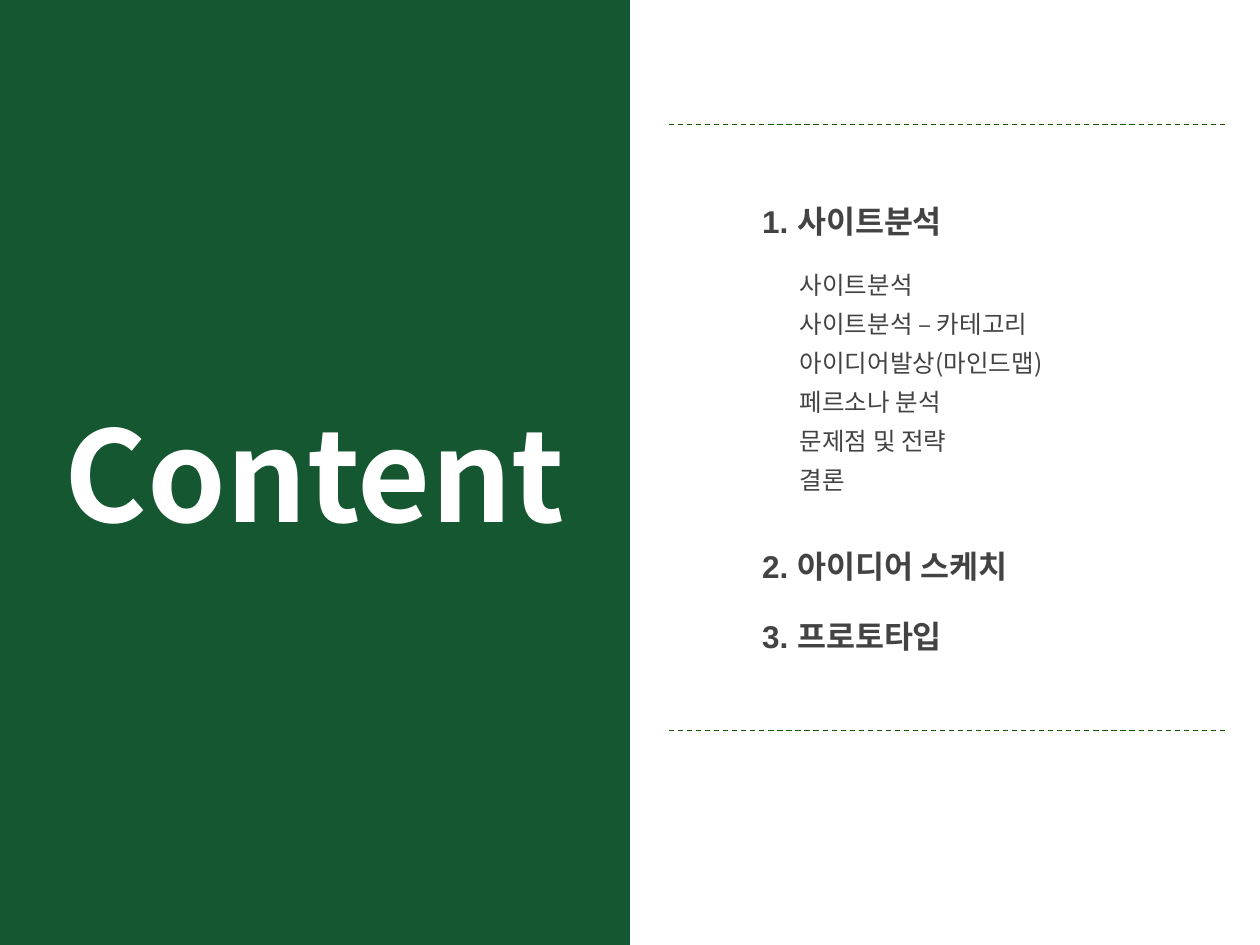
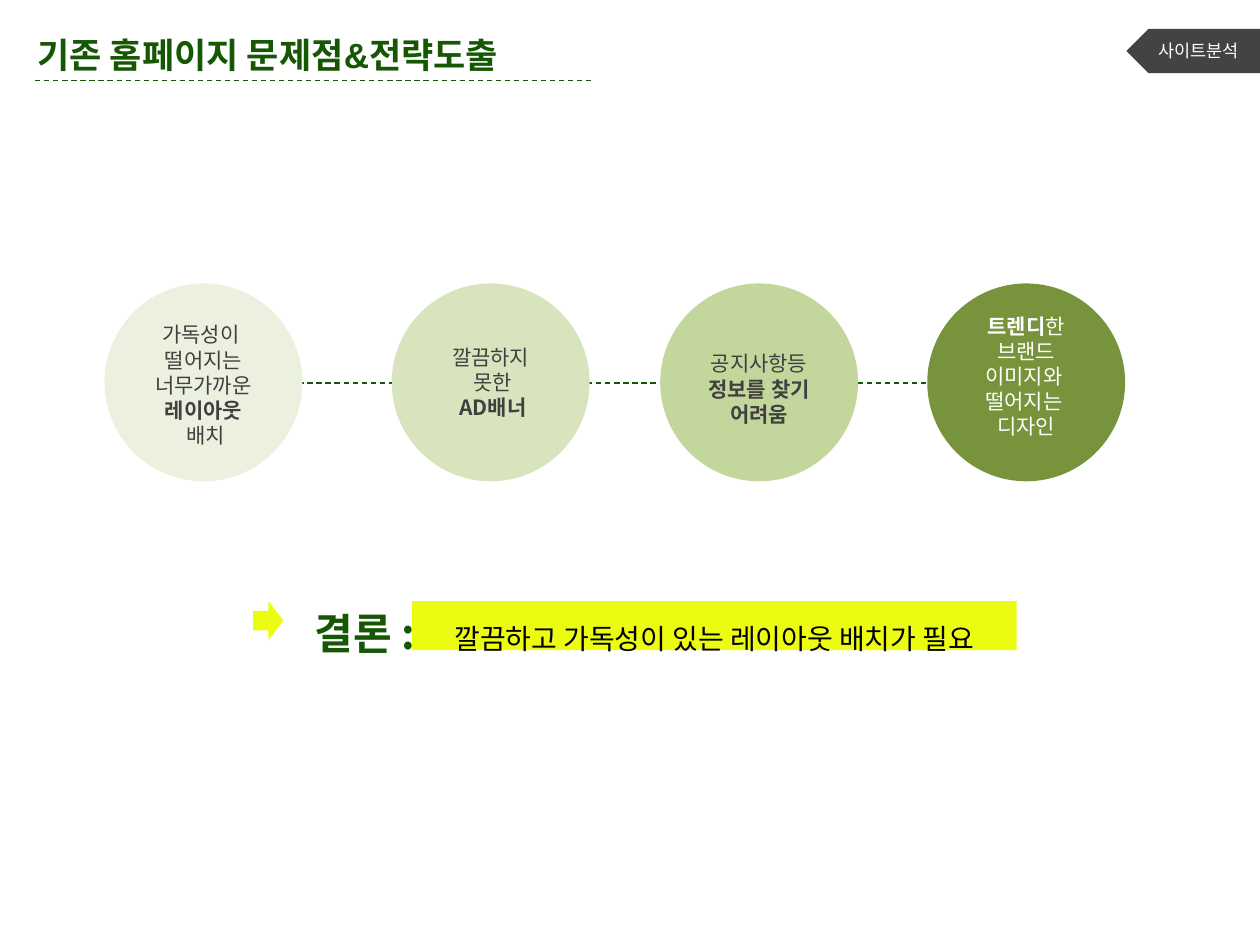
from lxml import etree
from pptx import Presentation
from pptx.dml.color import RGBColor
from pptx.enum.dml import MSO_LINE
from pptx.enum.shapes import MSO_CONNECTOR, MSO_SHAPE
from pptx.enum.text import MSO_ANCHOR, PP_ALIGN
from pptx.oxml.ns import qn
from pptx.util import Inches, Pt

RECT, OVAL = MSO_SHAPE.RECTANGLE, MSO_SHAPE.OVAL
ARROW, TAG = MSO_SHAPE.RIGHT_ARROW, MSO_SHAPE.PENTAGON
LEFT, MID = PP_ALIGN.LEFT, PP_ALIGN.CENTER
SANS, KOREAN = "Arial", "Noto Sans CJK KR"
PITCH = 1.2  # line height in ems

COLOR = {
    "panel": "155731", "green": "165704", "gray": "434343", "dark": "404040",
    "white": "FFFFFF", "black": "000000", "yellow": "EBFC10",
    "pale": "EBF1DE", "light": "D7E4BD", "soft": "C3D69B", "olive": "77933C",
}

prs = Presentation()
prs.slide_width, prs.slide_height = Inches(10), Inches(7.5)
blank = prs.slide_layouts[6]


def put(slide, box, lines=(), size=12, color="gray", font=KOREAN,
        kind=None, fill=None, align=LEFT):
    """Add a filled shape, or a text box without kind; lines hold (text, bold) runs."""
    area = [Inches(n) for n in box]
    if kind is None:
        shape = slide.shapes.add_textbox(*area)
    else:
        shape = slide.shapes.add_shape(kind, *area)
        shape.shadow.inherit = False
        shape.fill.solid()
        shape.fill.fore_color.rgb = RGBColor.from_string(COLOR[fill])
        shape.line.fill.background()
    frame = shape.text_frame
    frame.word_wrap = True
    frame.vertical_anchor = MSO_ANCHOR.MIDDLE
    for i, line in enumerate(lines):
        para = frame.add_paragraph() if i else frame.paragraphs[0]
        para.alignment = align
        para.line_spacing = Pt(size * PITCH)
        for text, bold in line:
            run = para.add_run()
            run.text = text
            run.font.size, run.font.bold, run.font.name = Pt(size), bold, font
            run.font.color.rgb = RGBColor.from_string(COLOR[color])
            east = etree.SubElement(run.font._element, qn("a:ea"))
            east.set("typeface", KOREAN)
    return shape


def dash(slide, left, right, top):
    """Draw a level dashed rule."""
    rule = slide.shapes.add_connector(
        MSO_CONNECTOR.STRAIGHT, Inches(left), Inches(top), Inches(right), Inches(top))
    rule.line.color.rgb = RGBColor.from_string(COLOR["green"])
    rule.line.width = Pt(0.75)
    rule.line.dash_style = MSO_LINE.DASH
    etree.SubElement(rule._element.spPr, qn("a:effectLst"))


# Slide 1: contents
page = prs.slides.add_slide(blank)
put(page, (0, 0, 5, 7.5), [[("Content", True)]], 72, "white",
    kind=RECT, fill="panel", align=MID)
for top in (0.99, 5.8):
    dash(page, 5.31, 9.72, top)

heads = [("1. 사이트분석", 1.55), ("2. 아이디어 스케치", 4.29), ("3. 프로토타입", 4.85)]
for head, top in heads:
    put(page, (5.95, top, 3, 0.4), [[(head, True)]], 18, font=SANS)

topics = ["사이트분석", "사이트분석 – 카테고리", "아이디어발상(마인드맵)",
          "페르소나 분석", "문제점 및 전략", "결론"]
for i, topic in enumerate(topics):
    put(page, (6.25, 2.09 + 0.31 * i, 3, 0.34), [[(topic, False)]], 14)

# Slide 2: problems and conclusion
page = prs.slides.add_slide(blank)
put(page, (0.2, 0.21, 4.8, 0.44), [[("기존 홈페이지 문제점&전략도출", True)]],
    20, "green", SANS)
dash(page, 0.28, 4.69, 0.64)
tag = put(page, (8.94, 0.23, 1.06, 0.35), [[("사이트분석", False)]], 10, "white",
          kind=TAG, fill="gray", align=MID)
tag._element.spPr.xfrm.set("flipH", "1")

# Each circle: left, fill, text colour, downward shift of the text, lines
dash(page, 2.01, 8.78, 3.04)
circles = [
    (0.83, "pale", "dark", 0.02,
     [[("가독성이 ", False)], [("떨어지는", False)],
      [("너무가까운 ", False), ("레이아웃", True)], [(" 배치", False)]]),
    (3.11, "light", "dark", 0,
     [[("깔끔하지", False)], [(" 못한", False)], [(" ", False), ("AD배너", True)]]),
    (5.24, "soft", "dark", 0.05,
     [[("공지사항등 ", False), ("정보를 찾기 어려움", True)]]),
    (7.36, "olive", "white", -0.05,
     [[("트렌디", True), ("한", False)], [(" 브랜드 ", False)],
      [("이미지와 ", False)], [("떨어지는 ", False)], [("디자인", False)]]),
]
for left, fill, color, shift, lines in circles:
    disc = put(page, (left, 2.25, 1.57, 1.57), lines, 12, color,
               kind=OVAL, fill=fill, align=MID)
    disc.text_frame.margin_top = Inches(0.05 + shift)
    disc.text_frame.margin_bottom = Inches(0.05 - shift)

put(page, (3.27, 4.77, 4.8, 0.39), kind=RECT, fill="yellow")
put(page, (2.01, 4.77, 0.24, 0.31), kind=ARROW, fill="yellow")
put(page, (2.4, 4.77, 1.2, 0.5), [[("결론 :", True)]], 24, "green")
put(page, (3.51, 4.82, 4.6, 0.5), [[("깔끔하고 가독성이 있는 레이아웃 배치가 필요", False)]],
    16, "black")

prs.save("out.pptx")
